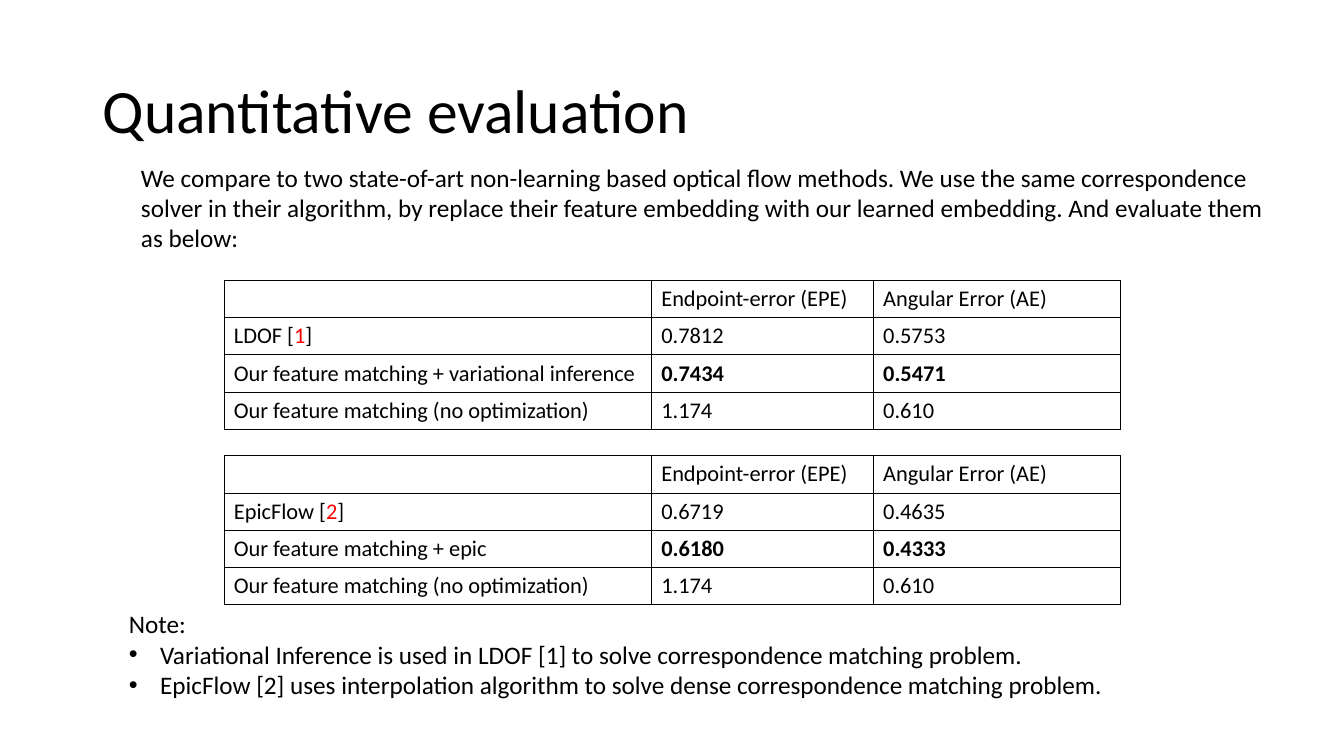
import pptx
import pptx.util
import pptx.dml.color
import pptx.enum.text
import pptx.oxml.ns
import lxml.etree

COLORS = {"text": "000000", "citation": "FF0000", "border": "000000"}
FONT = "Calibri"
INCH = pptx.util.Inches(1)
MIDDLE = pptx.enum.text.MSO_ANCHOR.MIDDLE
qn = pptx.oxml.ns.qn

prs = pptx.Presentation()
prs.slide_width = int(13.33 * INCH)
prs.slide_height = int(7.5 * INCH)
s = prs.slides.add_slide(prs.slide_layouts[6])


def style_run(r, size, color="text", bold=False):
    r.font.name = FONT
    r.font.size = pptx.util.Pt(size)
    r.font.bold = bold
    r.font.color.rgb = pptx.dml.color.RGBColor.from_string(COLORS[color])


def add_text(left, top, width, height, lines, size):
    sp = s.shapes.add_textbox(*(int(v * INCH) for v in (left, top, width, height)))
    tf = sp.text_frame
    tf.word_wrap = True
    tf.text = "\n".join(lines)
    for p in tf.paragraphs:
        style_run(p.runs[0], size)
    return tf


title = add_text(0.92, 0.4, 11.5, 1.45, ["Quantitative evaluation"], 44)
title.vertical_anchor = MIDDLE
title.paragraphs[0].line_spacing = 0.9

add_text(1.3, 1.56, 11.38, 1.01, [
    "We compare to two state-of-art non-learning based optical flow methods. "
    "We use the same correspondence solver in their algorithm, by replace their "
    "feature embedding with our learned embedding. And evaluate them as below:"], 18)

header = ("", "Endpoint-error (EPE)", "Angular Error (AE)")
unoptimized = ("Our feature matching (no optimization)", "1.174", "0.610")
ldof_rows = [
    header,
    ("LDOF [|1|]", "0.7812", "0.5753"),
    ("Our feature matching + variational inference", "0.7434", "0.5471"),
    unoptimized,
]
epic_rows = [
    header,
    ("EpicFlow [|2|]", "0.6719", "0.4635"),
    ("Our feature matching + epic", "0.6180", "0.4333"),
    unoptimized,
]
column_widths = (4.24, 2.2, 2.45)
row_height = 0.37
best_row = 2

for top, rows in ((2.78, ldof_rows), (4.52, epic_rows)):
    table = s.shapes.add_table(
        len(rows), len(column_widths), int(2.22 * INCH), int(top * INCH),
        int(sum(column_widths) * INCH), int(row_height * len(rows) * INCH)).table
    table.first_row = False
    table.horz_banding = False
    for column, width in zip(table.columns, column_widths):
        column.width = int(width * INCH)
    for i, row in enumerate(rows):
        for j, value in enumerate(row):
            cell = table.cell(i, j)
            cell.vertical_anchor = MIDDLE
            cell.margin_top = cell.margin_bottom = 0
            p = cell.text_frame.paragraphs[0]
            for k, part in enumerate(value.split("|") if value else []):
                r = p.add_run()
                r.text = part
                style_run(r, 16, "citation" if k == 1 else "text",
                          i == best_row and j > 0)
            tcPr = cell._tc.get_or_add_tcPr()
            for side in ("a:lnL", "a:lnR", "a:lnT", "a:lnB"):
                ln = lxml.etree.SubElement(tcPr, qn(side), w=str(pptx.util.Pt(0.4)))
                fill = lxml.etree.SubElement(ln, qn("a:solidFill"))
                lxml.etree.SubElement(fill, qn("a:srgbClr"), val=COLORS["border"])
            cell.fill.background()

note = add_text(1.18, 5.99, 10.62, 1.01, [
    "Note:",
    "Variational Inference is used in LDOF [1] to solve correspondence matching problem.",
    "EpicFlow [2] uses interpolation algorithm to solve dense correspondence matching problem."], 18)
indent = int(0.31 * INCH)
for p in note.paragraphs[1:]:
    pPr = p._p.get_or_add_pPr()
    pPr.set("marL", str(indent))
    pPr.set("indent", str(-indent))
    lxml.etree.SubElement(pPr, qn("a:buFont"), typeface="Arial")
    lxml.etree.SubElement(pPr, qn("a:buChar"), char="•")

prs.save("out.pptx")
